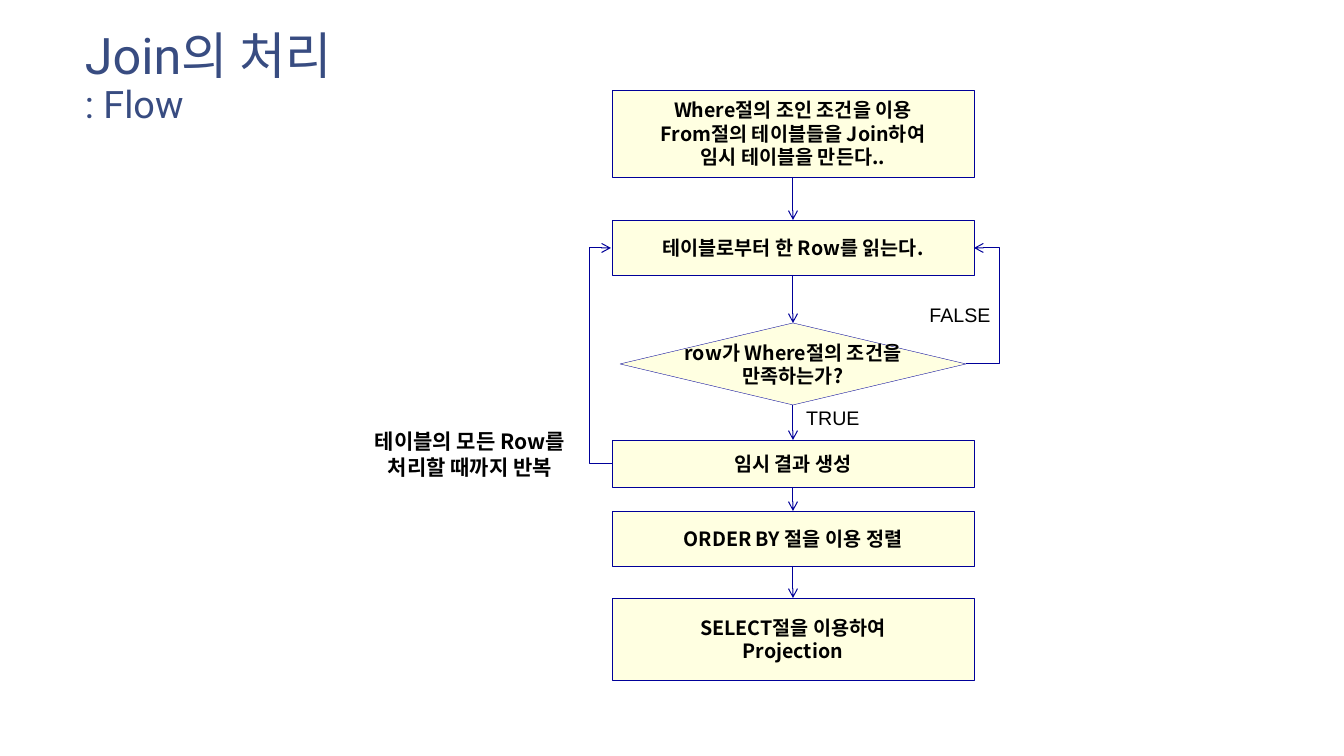
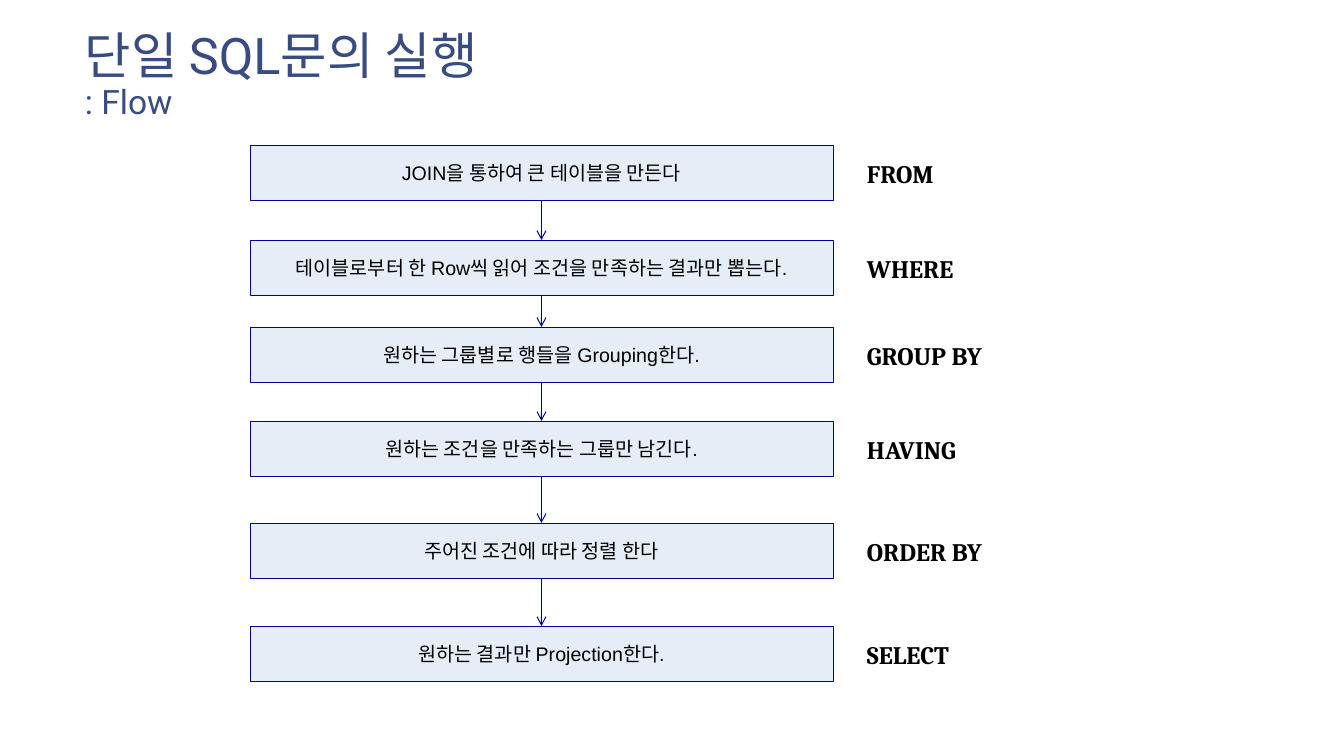
from itertools import pairwise

from lxml import etree
from pptx import Presentation
from pptx import util as u
from pptx.dml.color import RGBColor
from pptx.enum import shapes, text
from pptx.oxml.ns import qn

PX = 914400 / 100.8
NAVY, BLUE, BLACK = "384C81", "000099", "000000"
CREAM, PALE_BLUE = "FFFFE1", "E5EDF7"
KOREAN, SANS, SERIF, TITLE = "Noto Sans CJK KR", "Arial", "Cambria", "Roboto"
PROCESS = shapes.MSO_SHAPE.FLOWCHART_PROCESS
DECISION = shapes.MSO_SHAPE.FLOWCHART_DECISION
LEFT, CENTER = text.PP_ALIGN.LEFT, text.PP_ALIGN.CENTER
TOP_SITE, BOTTOM_SITE = 0, 2


def px(*lengths):
    return [u.Emu(round(length * PX)) for length in lengths]


def rgb(color):
    return RGBColor.from_string(color)


class Deck:
    def __init__(self):
        self.prs = Presentation()
        self.prs.slide_width, self.prs.slide_height = px(1344, 756)
        self.slide = None

    def new_slide(self, heading, subheading, sub_size):
        self.slide = self.prs.slides.add_slide(self.prs.slide_layouts[6])
        title = self.label(75, 26, 948, 119, f"{heading}\n{subheading}", 36, TITLE,
                           color=NAVY)
        for paragraph in title.paragraphs:
            paragraph.line_spacing = 0.9
        title.paragraphs[1].font.size = u.Pt(sub_size)

    def set_text(self, frame, words, size, font, bold=False, align=LEFT, color=BLACK):
        frame.text = words
        for paragraph in frame.paragraphs:
            paragraph.alignment = align
            style = paragraph.font
            style.size, style.name, style.bold = u.Pt(size), font, bold
            style.color.rgb = rgb(color)

    def label(self, x, y, w, h, words, size, font, **style):
        frame = self.slide.shapes.add_textbox(*px(x, y, w, h)).text_frame
        frame.word_wrap = True
        self.set_text(frame, words, size, font, **style)
        return frame

    def step(self, kind, x, y, w, h, words, fill, font, bold=False):
        box = self.slide.shapes.add_shape(kind, *px(x, y, w, h))
        box.shadow.inherit = False
        box.fill.solid()
        box.fill.fore_color.rgb = rgb(fill)
        box.line.color.rgb = rgb(BLUE)
        box.line.width = u.Pt(0.25)
        frame = box.text_frame
        frame.margin_left = frame.margin_right = 0
        frame.margin_top = frame.margin_bottom = 0
        frame.vertical_anchor = text.MSO_ANCHOR.MIDDLE
        frame.word_wrap = False
        self.set_text(frame, words, 14, font, bold, CENTER)
        return box

    def arrow(self, kind, x1, y1, x2, y2):
        line = self.slide.shapes.add_connector(kind, *px(x1, y1, x2, y2))
        line.line.color.rgb = rgb(BLUE)
        line.line.width = u.Pt(0.75)
        props = line._element.spPr
        etree.SubElement(props.find(qn("a:ln")), qn("a:tailEnd"), type="arrow")
        etree.SubElement(props, qn("a:effectLst"))
        return line

    def chain(self, steps):
        """Join each step to the next with a downward arrow."""
        for upper, lower in pairwise(steps):
            line = self.arrow(shapes.MSO_CONNECTOR.STRAIGHT, 0, 0, 0, 0)
            line.begin_connect(upper, BOTTOM_SITE)
            line.end_connect(lower, TOP_SITE)

    def loop(self, x1, y1, x2, y2, bend_x):
        """Arrow that runs sideways to bend_x and back to an earlier step."""
        line = self.arrow(shapes.MSO_CONNECTOR.ELBOW, x1, y1, x2, y2)
        bend = round((bend_x - x1) / (x2 - x1) * 100000)
        guides = line._element.spPr.find(qn("a:prstGeom")).get_or_add_avLst()
        etree.SubElement(guides, qn("a:gd"), name="adj1", fmla=f"val {bend}")


def join_flow(deck):
    deck.new_slide("Join의 처리", ": Flow", 27)
    wide, diamond = (PROCESS, 612, 362), (DECISION, 620, 346)
    flow = [
        (wide, 90, 87, "Where절의 조인 조건을 이용\nFrom절의 테이블들을 Join하여\n임시 테이블을 만든다.."),
        (wide, 220, 55, "테이블로부터 한 Row를 읽는다."),
        (diamond, 323, 82, "row가 Where절의 조건을\n만족하는가?"),
        (wide, 440, 47, "임시 결과 생성"),
        (wide, 511, 55, "ORDER BY 절을 이용 정렬"),
        (wide, 598, 82, "SELECT절을 이용하여\nProjection"),
    ]
    deck.chain([deck.step(kind, x, y, w, h, words, CREAM, KOREAN, True)
                for (kind, x, w), y, h, words in flow])
    deck.loop(966, 364, 974, 248, 999)
    deck.loop(612, 464, 611, 248, 589)
    deck.label(344, 424, 252, 60, "테이블의 모든 Row를\n처리할 때까지 반복", 15, KOREAN,
               bold=True, align=CENTER)
    deck.label(707, 401, 252, 34, "TRUE", 14, SANS, align=CENTER)
    deck.label(898, 298, 124, 33, "FALSE", 14, SANS, align=CENTER)


def sql_flow(deck):
    deck.new_slide("단일 SQL문의 실행", ": Flow", 24)
    flow = [
        (145, "FROM", "JOIN을 통하여 큰 테이블을 만든다"),
        (240, "WHERE", "테이블로부터 한 Row씩 읽어 조건을 만족하는 결과만 뽑는다."),
        (327, "GROUP BY", "원하는 그룹별로 행들을 Grouping한다."),
        (421, "HAVING", "원하는 조건을 만족하는 그룹만 남긴다."),
        (523, "ORDER BY", "주어진 조건에 따라 정렬 한다"),
        (626, "SELECT", "원하는 결과만 Projection한다."),
    ]
    deck.chain([deck.step(PROCESS, 250, y, 583, 55, words, PALE_BLUE, SANS)
                for y, _, words in flow])
    for y, clause, _ in flow:
        deck.label(857, y + 8, 231, 40, clause, 18, SERIF, bold=True)


def main():
    deck = Deck()
    join_flow(deck)
    sql_flow(deck)
    deck.prs.save("out.pptx")


if __name__ == "__main__":
    main()
